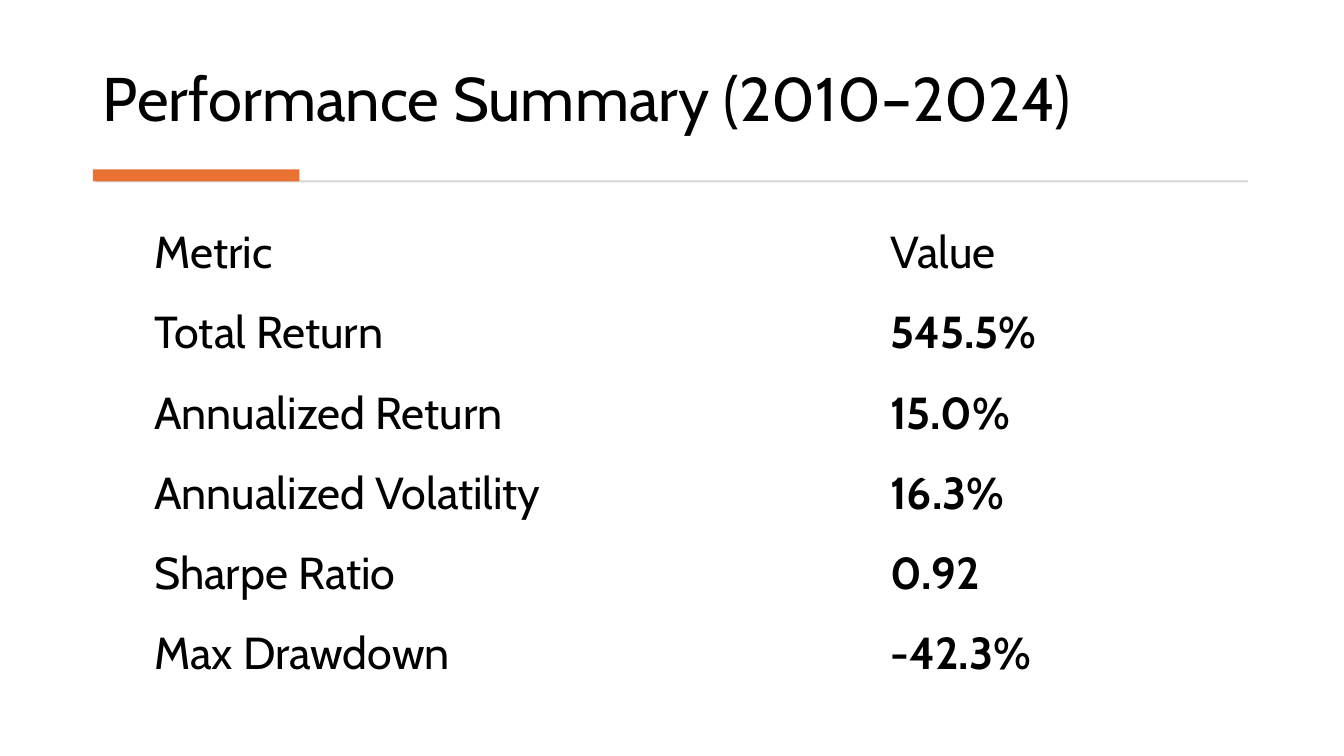
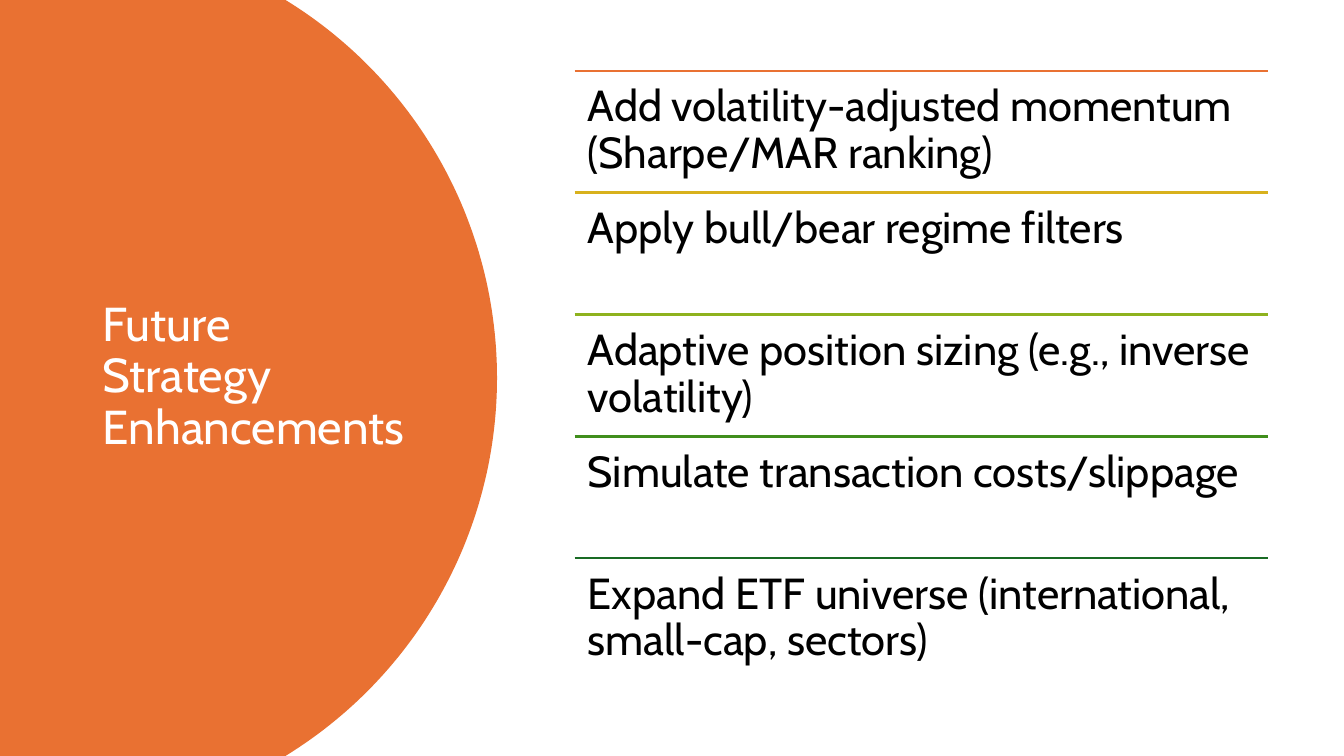
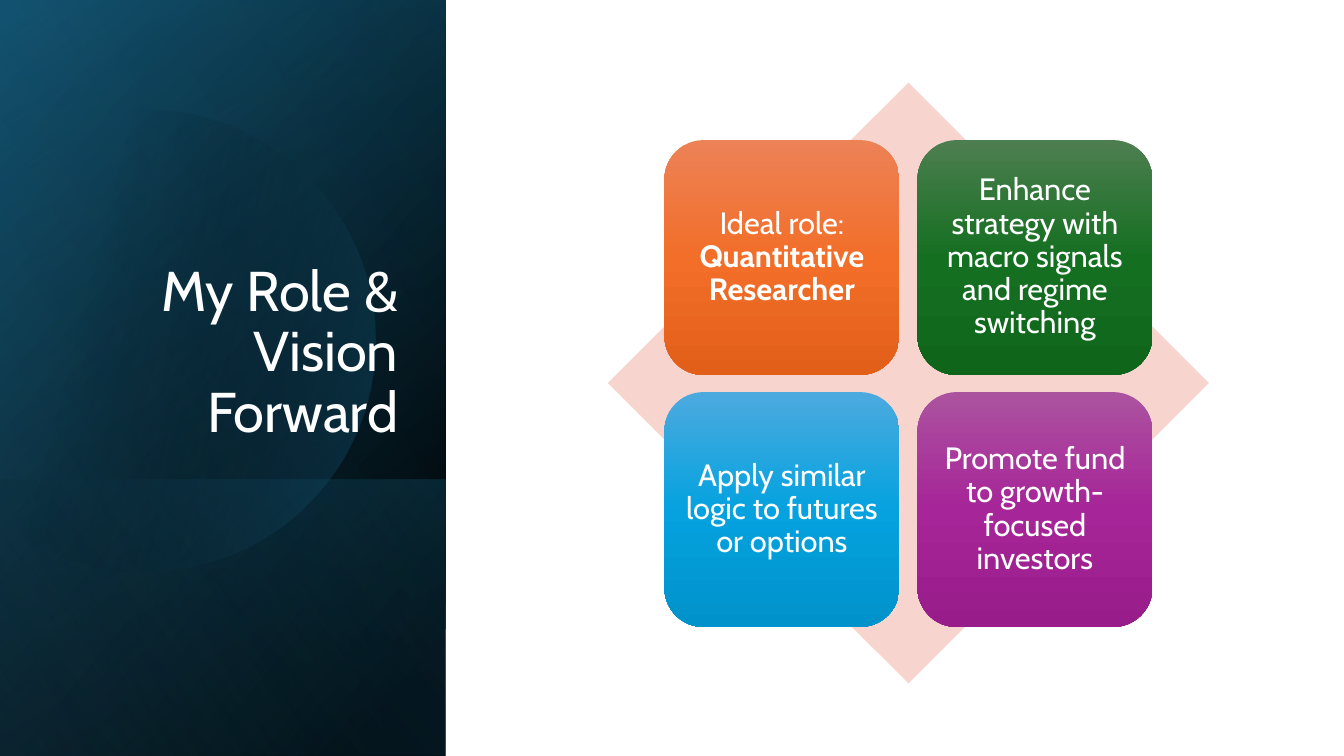
"""Build three slides on a trading strategy: results, next steps and role."""
import math
from lxml import etree
from pptx import Presentation, util as u
from pptx.dml.color import RGBColor
from pptx.enum import shapes, text as t
from pptx.oxml.ns import qn

ORANGE, WHITE, BLACK = "E97132", "FFFFFF", "000000"
FONT = "Cabin"
Inches = u.Inches


def paint(shape, *stops, angle=0):
    """Fill a shape with one hex colour or with (position, hex, opacity) stops."""
    shape.shadow.inherit = False
    shape.line.fill.background()
    if len(stops) == 1:
        shape.fill.solid()
        shape.fill.fore_color.rgb = RGBColor.from_string(stops[0])
        return
    shape.fill.background()
    properties = shape._element.spPr
    gradient = etree.Element(qn("a:gradFill"), rotWithShape="1")
    properties.replace(properties.find(qn("a:noFill")), gradient)
    stop_list = etree.SubElement(gradient, qn("a:gsLst"))
    for position, color, opacity in stops:
        stop = etree.SubElement(stop_list, qn("a:gs"), pos=str(position * 1000))
        tone = etree.SubElement(stop, qn("a:srgbClr"), val=color)
        etree.SubElement(tone, qn("a:alpha"), val=str(opacity * 1000))
    etree.SubElement(gradient, qn("a:lin"), ang=str(angle * 60000), scaled="0")


def write(holder, text, size, color=BLACK, bold=False, bold_tail="", spacing=0.9,
          align=t.PP_ALIGN.LEFT, anchor=t.MSO_ANCHOR.MIDDLE, inset=(0.1, 0.05)):
    """Put formatted text into a shape, placeholder or table cell."""
    frame = holder.text_frame
    frame.word_wrap = True
    frame.auto_size = t.MSO_AUTO_SIZE.NONE
    box = holder if hasattr(holder, "margin_left") else frame
    box.margin_left = box.margin_right = Inches(inset[0])
    box.margin_top = box.margin_bottom = Inches(inset[1])
    box.vertical_anchor = anchor
    para = frame.paragraphs[0]
    para.alignment = align
    para.line_spacing = spacing
    for words, heavy in ((text, bold), (bold_tail, True)):
        if words:
            span = para.add_run()
            span.text = words
            span.font.name = FONT
            span.font.size = u.Pt(size)
            span.font.bold = heavy
            span.font.color.rgb = RGBColor.from_string(color)


deck = Presentation()
deck.slide_width, deck.slide_height = Inches(13.33), Inches(7.5)
title_only = deck.slide_layouts[5]
summary, future, vision = [deck.slides.add_slide(title_only) for _ in range(3)]
RECTANGLE = shapes.MSO_SHAPE.RECTANGLE

for place, color in (((0.95, 1.79, 11.43, 0.02), "D5D5D5"),
                     ((0.92, 1.68, 2.05, 0.12), ORANGE)):
    paint(summary.shapes.add_shape(RECTANGLE, *map(Inches, place)), color)

metrics = [
    ("Metric", "Value"),
    ("Total Return", "545.5%"),
    ("Annualized Return", "15.0%"),
    ("Annualized Volatility", "16.3%"),
    ("Sharpe Ratio", "0.92"),
    ("Max Drawdown", "-42.3%"),
]
table = summary.shapes.add_table(
    len(metrics), 2, *map(Inches, (1.35, 2.11, 10.64, 4.77))).table
table.first_row = table.horz_banding = False
table.columns[0].width, table.columns[1].width = Inches(7.3), Inches(3.34)
for row, values in enumerate(metrics):
    for column, value in enumerate(values):
        cell = table.cell(row, column)
        cell.fill.background()
        write(cell, value, 32, bold=row > 0 and column == 1, spacing=1.0,
              inset=(0.18, 0.09))

arcs = []
for center_x, center_y, radius, half_angle in ((0.53, 3.75, 4.4, 58.46),
                                               (1.43, 3.38, 2.29, 133.6)):
    angles = [math.radians(half_angle * step / 60) for step in range(-60, 61)]
    arcs.append([(Inches(center_x + radius * math.cos(angle)),
                  Inches(center_y + radius * math.sin(angle))) for angle in angles])
side_arc, glow_arc = arcs

builder = future.shapes.build_freeform(0, 0)
builder.add_line_segments(side_arc + [(0, Inches(7.5))])
paint(builder.convert_to_shape(), ORANGE)

enhancements = [
    ("Add volatility-adjusted momentum (Sharpe/MAR ranking)", ORANGE),
    ("Apply bull/bear regime filters", "D8B11D"),
    ("Adaptive position sizing (e.g., inverse volatility)", "8EB21E"),
    ("Simulate transaction costs/slippage", "408E1C"),
    ("Expand ETF universe (international, small-cap, sectors)", "196B24"),
]
left, width, pitch = Inches(5.7), Inches(6.88), Inches(1.21)
for index, (enhancement, color) in enumerate(enhancements):
    top = Inches(0.7) + index * pitch
    rule = future.shapes.add_connector(
        shapes.MSO_CONNECTOR.STRAIGHT, left, top, left + width, top)
    rule.line.color.rgb = RGBColor.from_string(color)
    rule.line.width = u.Pt(1.5)
    etree.SubElement(rule._element.spPr, qn("a:effectLst"))
    box = future.shapes.add_textbox(left, top, width, pitch)
    write(box, enhancement, 31, anchor=t.MSO_ANCHOR.TOP, inset=(0.13, 0.13))

full_panel = (-1.54, 1.54, 7.5, 4.42)
panels = [
    (full_panel, 50, (8, BLACK, 100), (100, "104862", 100)),
    (full_panel, 30, (0, BLACK, 0), (99, "156082", 46)),
    ((0.84, 3.92, 2.74, 4.42), 130, (2, "156082", 29), (100, BLACK, 30)),
    (full_panel, 120, (0, BLACK, 0), (99, "46B1E1", 11)),
]
for place, angle, *stops in panels:
    panel = vision.shapes.add_shape(RECTANGLE, *map(Inches, place))
    panel.rotation = 90
    panel._element.spPr.xfrm.set("flipH", "1")
    paint(panel, *stops, angle=angle)
builder = vision.shapes.build_freeform(*glow_arc[0])
builder.add_line_segments(glow_arc[1:])
glow = builder.convert_to_shape()
paint(glow, (29, BLACK, 0), (100, "156082", 43), angle=14)
panel._element.addprevious(glow._element)

diamond = vision.shapes.add_shape(
    shapes.MSO_SHAPE.DIAMOND, *map(Inches, (6.03, 0.82, 5.96, 5.96)))
paint(diamond, "F7D5CE")
goals = [
    ("Ideal role: ", "Quantitative Researcher", "ED8257", "F26E29", "E25F1A"),
    ("Enhance strategy with macro signals and regime switching", "",
     "4D7E50", "156F21", "0F661B"),
    ("Apply similar logic to futures or options", "", "4CAADF", "05A2DF", "0092CB"),
    ("Promote fund to growth-focused investors", "", "AC53A0", "A62598", "991C8B"),
]
for index, (goal, bold_tail, *tones) in enumerate(goals):
    row, column = divmod(index, 2)
    place = (6.59 + 2.51 * column, 1.39 + 2.5 * row, 2.33, 2.33)
    tile = vision.shapes.add_shape(
        shapes.MSO_SHAPE.ROUNDED_RECTANGLE, *map(Inches, place))
    paint(tile, *[(50 * step, tone, 100) for step, tone in enumerate(tones)], angle=90)
    write(tile, goal, 22, WHITE, bold_tail=bold_tail, align=t.PP_ALIGN.CENTER,
          inset=(0.09, 0.09))

titles = [
    (summary, "Performance Summary (2010–2024)", (0.92, 0.28, 11.49, 1.11),
     {"size": 44, "anchor": t.MSO_ANCHOR.BOTTOM}),
    (future, "Future Strategy Enhancements", (0.92, 0.7, 3.23, 6.09),
     {"size": 34, "color": WHITE}),
    (vision, "My Role & Vision Forward", (0.64, 1.84, 3.41, 2.62),
     {"size": 40, "color": WHITE, "align": t.PP_ALIGN.RIGHT,
      "anchor": t.MSO_ANCHOR.BOTTOM}),
]
for page, heading, place, style in titles:
    title = page.shapes.title
    title.left, title.top, title.width, title.height = map(Inches, place)
    write(title, heading, **style)
    page.shapes._spTree.append(title._element)

deck.save("out.pptx")
